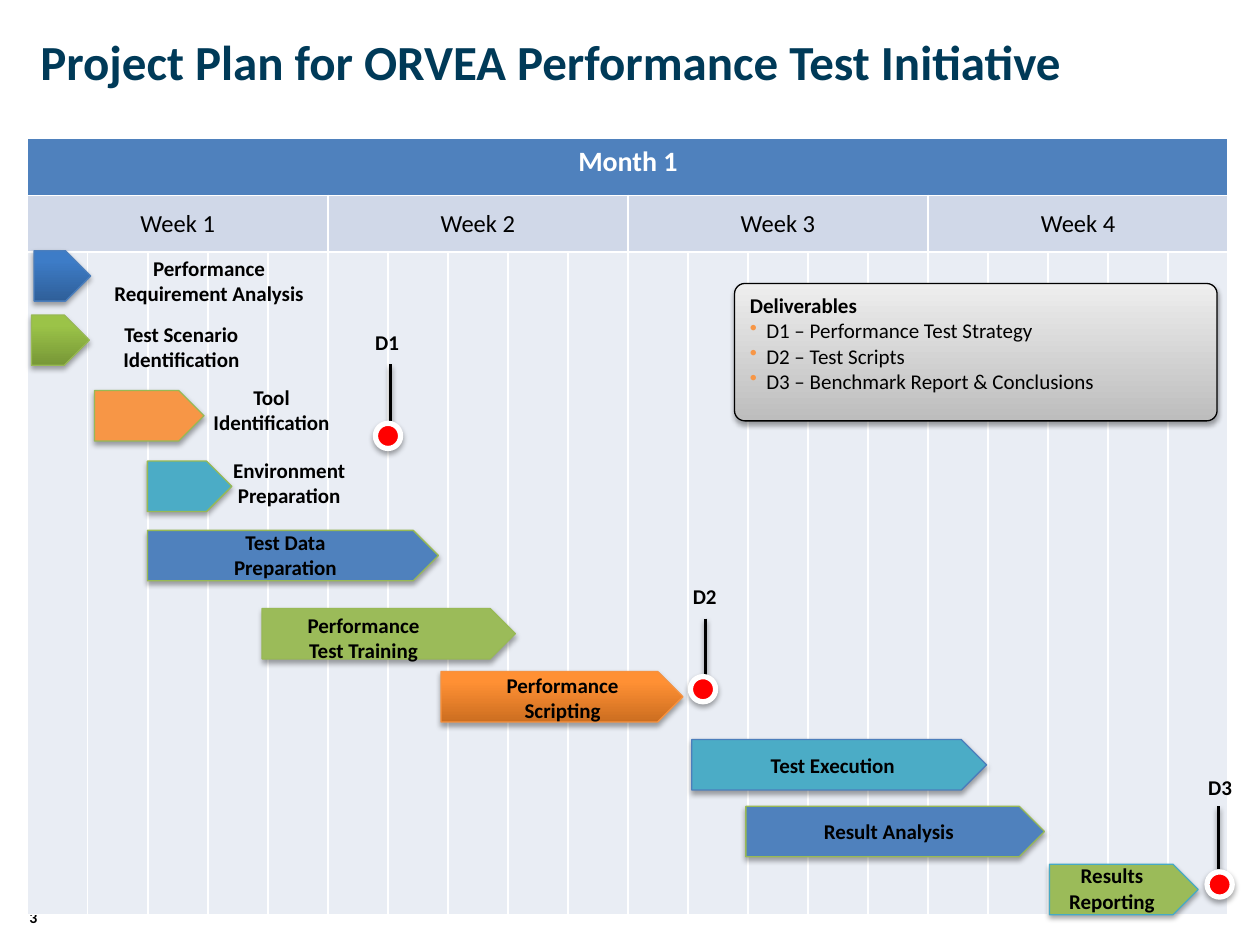
from lxml.etree import SubElement
from pptx import Presentation
from pptx.dml.color import RGBColor
from pptx.enum.shapes import MSO_CONNECTOR, MSO_SHAPE
from pptx.enum.text import MSO_ANCHOR, PP_ALIGN
from pptx.oxml.ns import qn
from pptx.util import Inches, Pt

COLORS = {
    "navy": "003A58", "black": "000000", "white": "FFFFFF", "red": "FF0000",
    "blue": "4F81BD", "green": "9BBB59", "orange": "F79646", "teal": "4BACC6",
    "week": "D0D8E8", "grid": "E9EDF4",
    "blue edge": "4B7EBC", "green edge": "98B955",
    "orange edge": "F69240", "teal edge": "46AAC5",
    "blue dark": "2F5F99", "blue light": "3D7CC7",
    "green dark": "779737", "green light": "9BC348",
    "orange dark": "CC6E20", "orange light": "FF9034",
    "grey dark": "BDBDBD", "grey light": "EEEEEE",
}
TITLE = "Project Plan for ORVEA Performance Test Initiative"
WEEKS = ["Week 1", "Week 2", "Week 3", "Week 4"]
DAYS_PER_WEEK = 5
TABLE = (0.22, 1.1, 9.53, 6.16)
HEADER_HEIGHT = 0.45
BAR_HEIGHT = 0.4

# Bar left, top, width, fill (a pair is a gradient), edge, text,
# and the label's left, top, width (None keeps the text in the bar)
TASKS = [
    (0.27, 1.99, 0.45, ("blue dark", "blue light"), "blue edge",
     "Performance Requirement Analysis", (0.71, 1.98, 1.9)),
    (0.25, 2.5, 0.46, ("green dark", "green light"), "green edge",
     "Test Scenario Identification", (0.51, 2.5, 1.86)),
    (0.75, 3.1, 0.87, "orange", "green edge", "Tool Identification", (1.56, 3, 1.19)),
    (1.17, 3.66, 0.67, "teal", "green edge", "Environment Preparation", (1.7, 3.58, 1.19)),
    (1.17, 4.21, 2.31, "blue", "green edge", "Test Data Preparation", (1.67, 4.15, 1.19)),
    (2.08, 4.83, 2.01, "green", "green edge", "Performance Test Training", (2.29, 4.81, 1.19)),
    (3.5, 5.33, 1.92, ("orange dark", "orange light"), "orange edge",
     "Performance Scripting", (3.87, 5.29, 1.19)),
    (5.49, 5.87, 2.34, "teal", "blue edge", "Test Execution", None),
    (5.92, 6.4, 2.37, "blue", "green edge", "Result Analysis", None),
    (8.33, 6.86, 1.18, "green", "teal edge", "Results Reporting", (8.23, 6.8, 1.19)),
]
# Name, label left and top, stem x and top, dot left and top
MILESTONES = [
    ("D1", (2.88, 2.57), (3.1, 2.89), (2.98, 3.36)),
    ("D2", (5.4, 4.58), (5.6, 4.91), (5.48, 5.37)),
    ("D3", (9.49, 6.1), (9.67, 6.4), (9.58, 6.92)),
]
STEM_LENGTH, DOT_SIZE = 0.5, 0.2
DELIVERABLES = ["D1 – Performance Test Strategy", "D2 – Test Scripts",
                "D3 – Benchmark Report & Conclusions"]


def rgb(name):
    return RGBColor.from_string(COLORS[name])


def write(frame, text, size=12, bold=True, color="black", align=PP_ALIGN.CENTER,
          anchor=MSO_ANCHOR.TOP, new=False):
    """Put one formatted paragraph in a text frame, after the others if new."""
    frame.word_wrap = True
    frame.vertical_anchor = anchor
    para = frame.add_paragraph() if new else frame.paragraphs[0]
    para.alignment = align
    span = para.add_run()
    span.text = text
    span.font.name, span.font.size, span.font.bold = "Calibri", Pt(size), bold
    span.font.color.rgb = rgb(color)
    return para


def add_label(page, text, left, top, width, height=0.5, **style):
    box = page.shapes.add_textbox(*map(Inches, (left, top, width, height)))
    write(box.text_frame, text, **style)
    return box


def add_shadow(shape, alpha=35):
    effects = SubElement(shape._element.spPr, qn("a:effectLst"))
    shadow = SubElement(effects, qn("a:outerShdw"), blurRad=str(Pt(3.1)),
                        dist=str(Pt(1.8)), dir="5400000", rotWithShape="0")
    color = SubElement(shadow, qn("a:srgbClr"), val=COLORS["black"])
    SubElement(color, qn("a:alpha"), val=str(alpha * 1000))


def add_figure(page, kind, at, fill, edge, edge_width=0.75, light_stop=0.8):
    shape = page.shapes.add_shape(kind, *map(Inches, at))
    if isinstance(fill, tuple):
        shape.fill.gradient()
        shape.fill.gradient_angle = 90
        for stop, name, position in zip(shape.fill.gradient_stops, fill, (0, light_stop)):
            stop.color.rgb, stop.position = rgb(name), position
    else:
        shape.fill.solid()
        shape.fill.fore_color.rgb = rgb(fill)
    shape.line.color.rgb = rgb(edge)
    shape.line.width = Pt(edge_width)
    add_shadow(shape)
    return shape


def add_calendar(page):
    columns = len(WEEKS) * DAYS_PER_WEEK
    table = page.shapes.add_table(3, columns, *map(Inches, TABLE)).table
    for column in table.columns:
        column.width = Inches(TABLE[2] / columns)
    heights = (HEADER_HEIGHT, HEADER_HEIGHT, TABLE[3] - 2 * HEADER_HEIGHT)
    for row, height, fill in zip(table.rows, heights, ("blue", "week", "grid")):
        row.height = Inches(height)
        for cell in row.cells:
            cell.fill.solid()
            cell.fill.fore_color.rgb = rgb(fill)
    month = table.cell(0, 0)
    month.merge(table.cell(0, columns - 1))
    write(month.text_frame, "Month 1", size=16, color="white")
    for index, week in enumerate(WEEKS):
        first = index * DAYS_PER_WEEK
        cell = table.cell(1, first)
        cell.merge(table.cell(1, first + DAYS_PER_WEEK - 1))
        write(cell.text_frame, week, size=14, bold=False)
        cell.vertical_anchor = MSO_ANCHOR.MIDDLE


def add_deliverables(page):
    panel = add_figure(page, MSO_SHAPE.ROUNDED_RECTANGLE, (5.83, 2.25, 3.83, 1.09),
                       ("grey dark", "grey light"), "black", light_stop=1)
    panel.adjustments[0] = 0.075
    write(panel.text_frame, "Deliverables", align=PP_ALIGN.LEFT)
    for item in DELIVERABLES:
        para = write(panel.text_frame, item, bold=False, align=PP_ALIGN.LEFT, new=True)
        props = para._p.get_or_add_pPr()
        props.set("marL", str(Inches(0.13)))
        props.set("indent", str(Inches(-0.13)))
        color = SubElement(props, qn("a:buClr"))
        SubElement(color, qn("a:srgbClr"), val=COLORS["orange"])
        SubElement(props, qn("a:buChar"), char="•")


def add_milestone(page, name, label, stem, dot):
    x, top = stem
    line = page.shapes.add_connector(
        MSO_CONNECTOR.STRAIGHT, *map(Inches, (x, top, x, top + STEM_LENGTH)))
    line.line.color.rgb = rgb("black")
    line.line.width = Pt(2)
    add_shadow(line, alpha=38)
    add_figure(page, MSO_SHAPE.OVAL, (*dot, DOT_SIZE, DOT_SIZE), "red", "white", 3)
    add_label(page, name, *label, 0.5, 0.3, align=PP_ALIGN.LEFT)


def main():
    deck = Presentation()
    deck.slide_width, deck.slide_height = Inches(10), Inches(7.5)
    page = deck.slides.add_slide(deck.slide_layouts[5])

    # Title and page number
    title = page.shapes.title
    title.left, title.top, title.width, title.height = map(Inches, (0.22, -0.03, 9.78, 1.03))
    write(title.text_frame, TITLE, size=28, color="navy", align=PP_ALIGN.LEFT,
          anchor=MSO_ANCHOR.MIDDLE)
    number = add_label(page, "3", 0.12, 7.17, 0.29, 0.22, size=9,
                       anchor=MSO_ANCHOR.MIDDLE).text_frame
    number.margin_left = number.margin_right = Inches(0.02)
    number.margin_top = number.margin_bottom = Inches(0.02)
    number.paragraphs[0].space_before = Pt(4.5)

    add_calendar(page)

    # Task bars with their labels
    for left, top, width, fill, edge, text, label in TASKS:
        bar = add_figure(page, MSO_SHAPE.PENTAGON, (left, top, width, BAR_HEIGHT), fill, edge)
        if label:
            add_label(page, text, *label)
        else:
            write(bar.text_frame, text, anchor=MSO_ANCHOR.MIDDLE)

    # Deliverables and their milestones
    add_deliverables(page)
    for milestone in MILESTONES:
        add_milestone(page, *milestone)

    deck.save("out.pptx")


if __name__ == "__main__":
    main()
